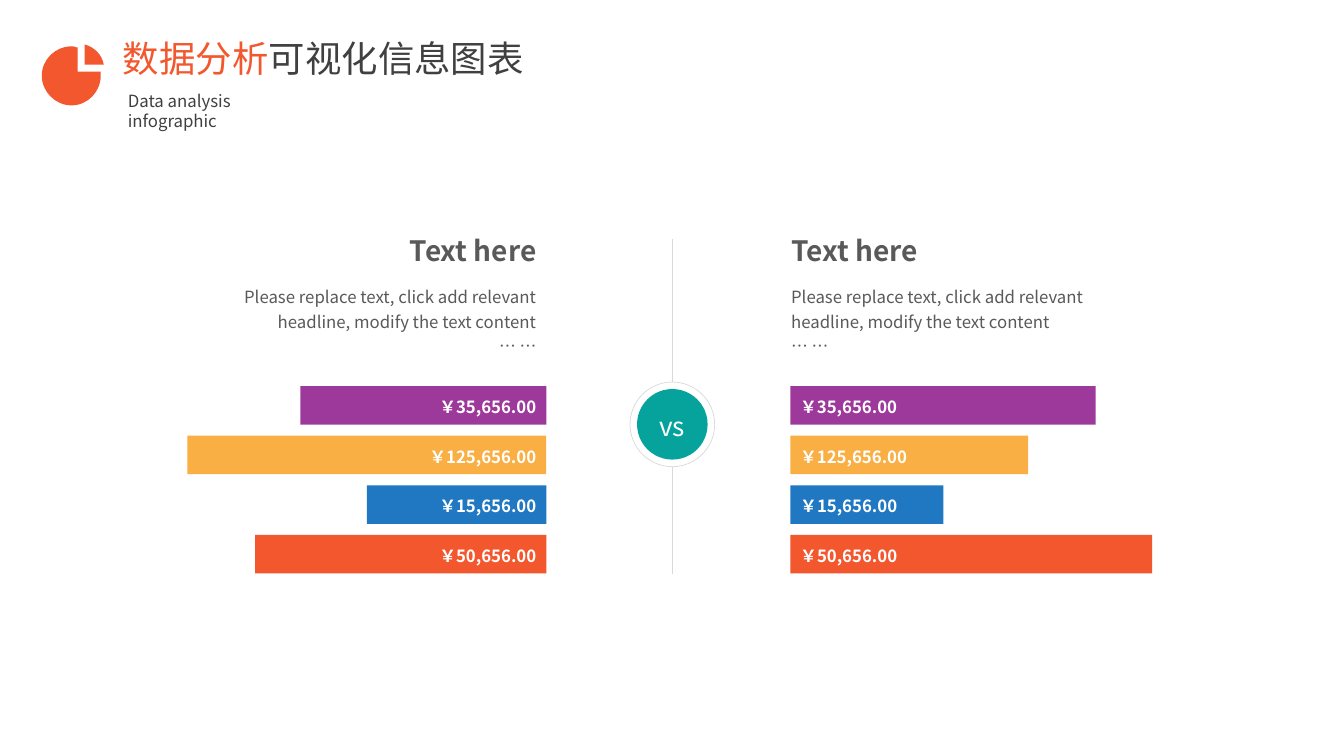
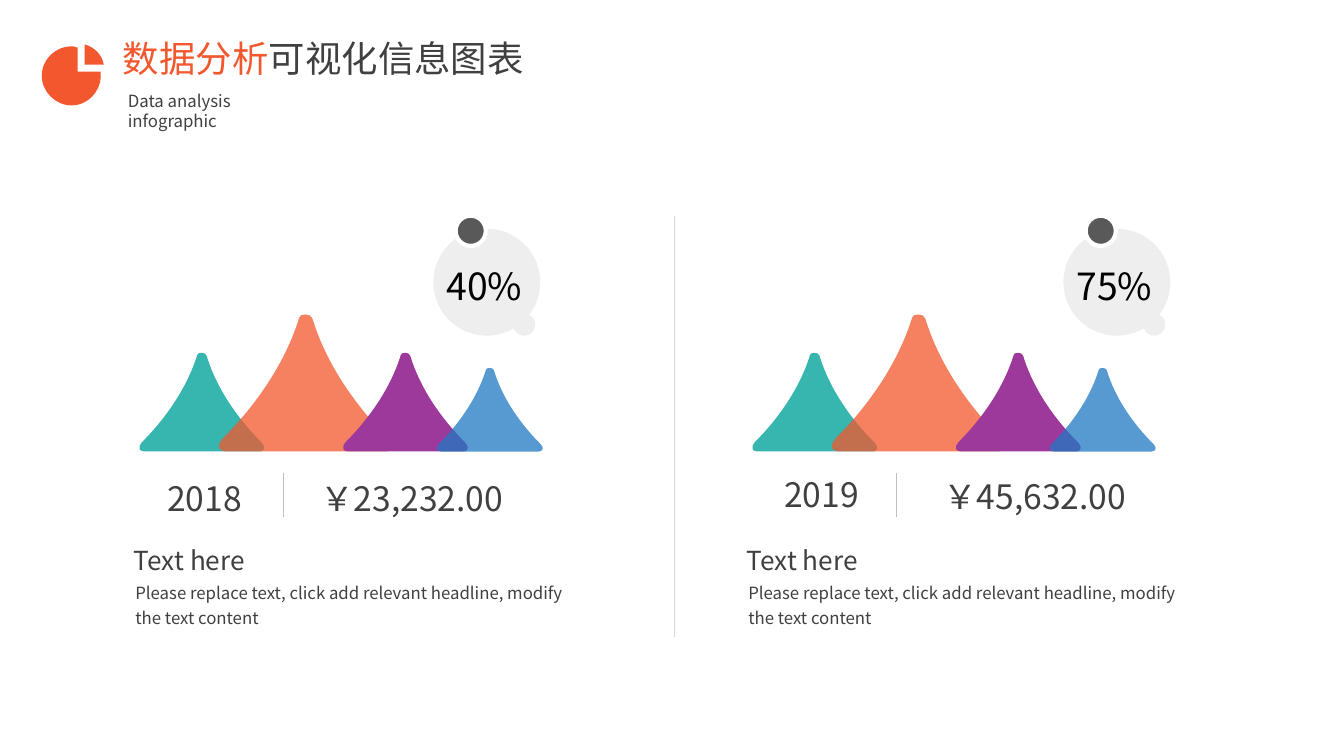
from dataclasses import dataclass

from lxml.etree import SubElement
from pptx import Presentation
from pptx.dml.color import RGBColor
from pptx.enum.shapes import MSO_CONNECTOR, MSO_SHAPE
from pptx.enum.text import MSO_ANCHOR, MSO_AUTO_SIZE, PP_ALIGN
from pptx.oxml.ns import qn
from pptx.shapes.autoshape import Shape
from pptx.slide import Slide
from pptx.text.text import TextFrame
from pptx.util import Inches, Pt

CELL = Inches(0.1)  # side of one square grid cell; all lengths below are in cells
SLIDE_COLUMNS, SLIDE_ROWS = 133.33, 75
TITLE_ONLY_LAYOUT = 5

Point = tuple[float, float]
Box = tuple[float, float, float, float]
Segment = tuple[float, ...]


@dataclass(frozen=True)
class Theme:
    font: str = "Noto Sans CJK SC"
    orange: str = "F3572D"
    teal: str = "05A39C"
    purple: str = "9D399B"
    yellow: str = "F9AF44"
    blue: str = "2078C2"
    black: str = "000000"
    dark: str = "404040"
    gray: str = "595959"
    divider: str = "BFBFBF"
    rule: str = "D9D9D9"
    bubble: str = "EEEEEE"
    white: str = "FFFFFF"
    title_size: float = 26
    percent_size: float = 26.7
    figure_size: float = 24
    heading_size: float = 20
    label_size: float = 18.7
    body_size: float = 12
    line_width: float = 0.75


THEME = Theme()
BODY = "Please replace text, click add relevant headline, modify the text content"


@dataclass(frozen=True)
class TextStyle:
    size: float
    color: str
    bold: bool = False
    align: PP_ALIGN = PP_ALIGN.LEFT
    spacing: float = 1.0
    anchor: MSO_ANCHOR = MSO_ANCHOR.TOP


@dataclass(frozen=True)
class Contour:
    """Closed outline; a segment holds one point (line) or three (curve)."""
    start: Point
    segments: tuple[Segment, ...]


@dataclass(frozen=True)
class Bar:
    label: str
    color: str
    left_length: float
    right_length: float


@dataclass(frozen=True)
class Side:
    align: PP_ALIGN
    bar_edge: float
    text_left: float


@dataclass(frozen=True)
class Hill:
    left: float
    top: float
    scale: float
    color: str
    opacity: int = 100


@dataclass(frozen=True)
class YearPanel:
    left: float
    bubble_left: float
    percent: str
    year: str
    year_at: Point
    amount: str
    amount_at: Point


PIE_ICON = (
    Contour((7.1, 4.6), ((7.2, 4.6, 7.4, 4.6, 7.6, 4.7), (7.7, 4.7), (7.7, 7.1), (10, 7.1),
                         (10, 7.2, 10, 7.4, 10, 7.5), (10, 9.1, 8.7, 10.45, 7.1, 10.45),
                         (5.5, 10.45, 4.15, 9.1, 4.15, 7.5), (4.15, 5.9, 5.5, 4.6, 7.1, 4.6))),
    Contour((8.4, 4.4), ((9.4, 4.7, 10.1, 5.4, 10.3, 6.4), (8.4, 6.4))),
)
HILL_OUTLINE = Contour((17.6, 12.4), (
    (15.5, 10.3, 11.7, 6, 10, 0.4), (9.9, 0.1, 9.6, 0, 9.3, 0),
    (9, 0, 8.7, 0.1, 8.7, 0.3), (7, 5.8, 3.3, 10.1, 1.2, 12.2),
    (1.2, 12.2, 0, 13.4, 1.4, 13.6), (17.3, 13.6), (18.3, 13.5, 17.9, 12.7, 17.6, 12.4),
))

BARS = (
    Bar("￥35,656.00", THEME.purple, 24.4, 30.3),
    Bar("￥125,656.00", THEME.yellow, 35.6, 23.6),
    Bar("￥15,656.00", THEME.blue, 17.8, 15.2),
    Bar("￥50,656.00", THEME.orange, 28.9, 35.9),
)
LEFT_SIDE = Side(PP_ALIGN.RIGHT, 54.2, 22.1)
RIGHT_SIDE = Side(PP_ALIGN.LEFT, 78.4, 77.5)
BAR_TOP, BAR_PITCH, BAR_HEIGHT = 38.3, 4.92, 3.83

HILLS = (
    Hill(0, 35, 0.72, THEME.teal, 80),
    Hill(7.7, 31.2, 1, THEME.orange, 75),
    Hill(20.2, 35, 0.72, THEME.purple),
    Hill(29.6, 36.5, 0.61, THEME.blue, 75),
)
YEAR_PANELS = (
    YearPanel(13.3, 43, "40%", "2018", (15.6, 46.1), "￥23,232.00", (22.4, 46.1)),
    YearPanel(74.1, 105.5, "75%", "2019", (76.8, 45.7), "￥45,632.00", (84.2, 45.9)),
)


def cells(*lengths: float) -> list[int]:
    return [round(length * CELL) for length in lengths]


def format_run(run, style: TextStyle) -> None:
    run.font.size = Pt(style.size)
    run.font.bold = style.bold
    run.font.color.rgb = RGBColor.from_string(style.color)
    run.font.name = THEME.font
    SubElement(run.font._element, qn("a:ea"), typeface=THEME.font)


def write(frame: TextFrame, text: str, style: TextStyle) -> None:
    frame.text = text
    frame.word_wrap = True
    frame.auto_size = MSO_AUTO_SIZE.NONE
    frame.vertical_anchor = style.anchor
    for paragraph in frame.paragraphs:
        paragraph.alignment = style.align
        paragraph.line_spacing = style.spacing
        for run in paragraph.runs:
            format_run(run, style)


def add_text(slide: Slide, box: Box, text: str, style: TextStyle) -> None:
    write(slide.shapes.add_textbox(*cells(*box)).text_frame, text, style)


def paint(shape: Shape, fill: str | None, line: str | None = None,
          line_width: float = THEME.line_width, opacity: int = 100) -> None:
    shape.shadow.inherit = False
    if fill:
        shape.fill.solid()
        shape.fill.fore_color.rgb = RGBColor.from_string(fill)
        if opacity < 100:
            color = shape.element.spPr.find(qn("a:solidFill")).find(qn("a:srgbClr"))
            SubElement(color, qn("a:alpha"), val=str(opacity * 1000))
    else:
        shape.fill.background()
    if line:
        shape.line.color.rgb = RGBColor.from_string(line)
        shape.line.width = Pt(line_width)
    else:
        shape.line.fill.background()


def add_circle(slide: Slide, left: float, top: float, diameter: float, fill: str | None,
               line: str | None = None, line_width: float = THEME.line_width) -> Shape:
    box = cells(left, top, diameter, diameter)
    circle = slide.shapes.add_shape(MSO_SHAPE.OVAL, *box)
    paint(circle, fill, line, line_width)
    return circle


def add_vertical_line(slide: Slide, column: float, top: float, bottom: float, color: str) -> None:
    line = slide.shapes.add_connector(MSO_CONNECTOR.STRAIGHT, *cells(column, top, column, bottom))
    line.line.color.rgb = RGBColor.from_string(color)
    line.line.width = Pt(THEME.line_width)
    SubElement(line.element.spPr, qn("a:effectLst"))


def bend(shape: Shape, contours: tuple[Contour, ...]) -> None:
    """Join the three straight steps drawn for each curve into one Bezier curve."""
    steps = iter(list(shape.element.iter(qn("a:lnTo"))))
    for contour in contours:
        for segment in contour.segments:
            curve = next(steps)
            if len(segment) == 6:
                curve.tag = qn("a:cubicBezTo")
                for step in (next(steps), next(steps)):
                    curve.append(step[0])
                    step.getparent().remove(step)


def add_outline(slide: Slide, contours: tuple[Contour, ...], fill: str, opacity: int = 100,
                left: float = 0, top: float = 0, scale: float = 1) -> None:
    builder = None
    for contour in contours:
        points = [contour.start]
        for segment in contour.segments:
            points += zip(segment[::2], segment[1::2])
        first, *others = [cells(left + x * scale, top + y * scale) for x, y in points]
        if builder is None:
            builder = slide.shapes.build_freeform(*first)
        else:
            builder.move_to(*first)
        builder.add_line_segments(others, close=True)
    shape = builder.convert_to_shape()
    bend(shape, contours)
    paint(shape, fill, opacity=opacity)


def add_titled_slide(presentation) -> Slide:
    slide = presentation.slides.add_slide(presentation.slide_layouts[TITLE_ONLY_LAYOUT])
    title = slide.shapes.title
    title.left, title.top, title.width, title.height = cells(11.2, 3.1, 41.9, 5.4)
    write(title.text_frame, "数据分析", TextStyle(THEME.title_size, THEME.orange))
    ending = title.text_frame.paragraphs[0].add_run()
    ending.text = "可视化信息图表"
    format_run(ending, TextStyle(THEME.title_size, THEME.dark))
    title.text_frame.word_wrap = False
    add_outline(slide, PIE_ICON, THEME.orange)
    add_text(slide, (11.7, 8.5, 21, 3), "Data analysis infographic",
             TextStyle(THEME.body_size, THEME.dark))
    return slide


def add_side(slide: Slide, side: Side) -> None:
    on_left = side is LEFT_SIDE
    for row, bar in enumerate(BARS):
        length = bar.left_length if on_left else bar.right_length
        left = side.bar_edge - length if on_left else side.bar_edge
        box = cells(left, BAR_TOP + row * BAR_PITCH, length, BAR_HEIGHT)
        shape = slide.shapes.add_shape(MSO_SHAPE.RECTANGLE, *box)
        paint(shape, bar.color)
        write(shape.text_frame, bar.label,
              TextStyle(THEME.body_size, THEME.white, True, side.align, 1.25, MSO_ANCHOR.MIDDLE))
        shape.text_frame.margin_top, shape.text_frame.margin_bottom = cells(0, 0.2)
    add_text(slide, (side.text_left, 22.1, 32.1, 5.5), "Text here",
             TextStyle(THEME.heading_size, THEME.gray, True, side.align, anchor=MSO_ANCHOR.MIDDLE))
    add_text(slide, (side.text_left, 27.6, 32.1, 9.1), f"{BODY}\n… …",
             TextStyle(THEME.body_size, THEME.gray, align=side.align, spacing=1.2))


def add_versus_slide(presentation) -> None:
    slide = add_titled_slide(presentation)
    for side in (LEFT_SIDE, RIGHT_SIDE):
        add_side(slide, side)
    center = 66.7
    for top, bottom in ((23.7, 37.9), (46.3, 56.9)):
        add_vertical_line(slide, center, top, bottom, THEME.rule)
    add_circle(slide, center - 4.2, 37.9, 8.4, None, THEME.rule, 0.5)
    badge = add_circle(slide, center - 3.5, 38.6, 7, THEME.teal)
    write(badge.text_frame, "vs", TextStyle(THEME.label_size, THEME.white, align=PP_ALIGN.CENTER,
                                            spacing=1.25, anchor=MSO_ANCHOR.MIDDLE))
    frame = badge.text_frame
    frame.margin_left, frame.margin_right, frame.margin_top, frame.margin_bottom = cells(0, 0, 0, 0.5)


def add_year_panel(slide: Slide, panel: YearPanel) -> None:
    figure = TextStyle(THEME.figure_size, THEME.dark, spacing=1.2)
    add_circle(slide, panel.bubble_left, 22.7, 10.6, THEME.bubble)
    add_circle(slide, panel.bubble_left + 7.9, 31.1, 2.2, THEME.bubble)
    add_circle(slide, panel.bubble_left + 2.2, 21.4, 3, THEME.gray, THEME.white, 3)
    add_text(slide, (panel.bubble_left - 0.25, 24.7, 10.6, 6), panel.percent,
             TextStyle(THEME.percent_size, THEME.black, align=PP_ALIGN.CENTER, spacing=1.2))
    for hill in HILLS:
        add_outline(slide, (HILL_OUTLINE,), hill.color, hill.opacity,
                    panel.left + hill.left, hill.top, hill.scale)
    add_text(slide, (*panel.year_at, 17.9, 5.5), panel.year, figure)
    add_text(slide, (*panel.amount_at, 28.5, 5.5), panel.amount,
             TextStyle(THEME.figure_size, THEME.dark, align=PP_ALIGN.RIGHT, spacing=1.2))
    add_vertical_line(slide, panel.left + 14.85, 46.9, 51.3, THEME.divider)
    add_text(slide, (panel.left - 1, 52.9, 45.5, 4.5), "Text here",
             TextStyle(THEME.label_size, THEME.dark, spacing=1.2))
    add_text(slide, (panel.left - 0.85, 56.8, 45.3, 6.1), BODY,
             TextStyle(THEME.body_size, THEME.dark, spacing=1.25))


def add_years_slide(presentation) -> None:
    slide = add_titled_slide(presentation)
    for panel in YEAR_PANELS:
        add_year_panel(slide, panel)
    add_vertical_line(slide, 66.9, 21.4, 63.2, THEME.rule)


def main() -> None:
    presentation = Presentation()
    presentation.slide_width, presentation.slide_height = cells(SLIDE_COLUMNS, SLIDE_ROWS)
    add_versus_slide(presentation)
    add_years_slide(presentation)
    presentation.save("out.pptx")


if __name__ == "__main__":
    main()
